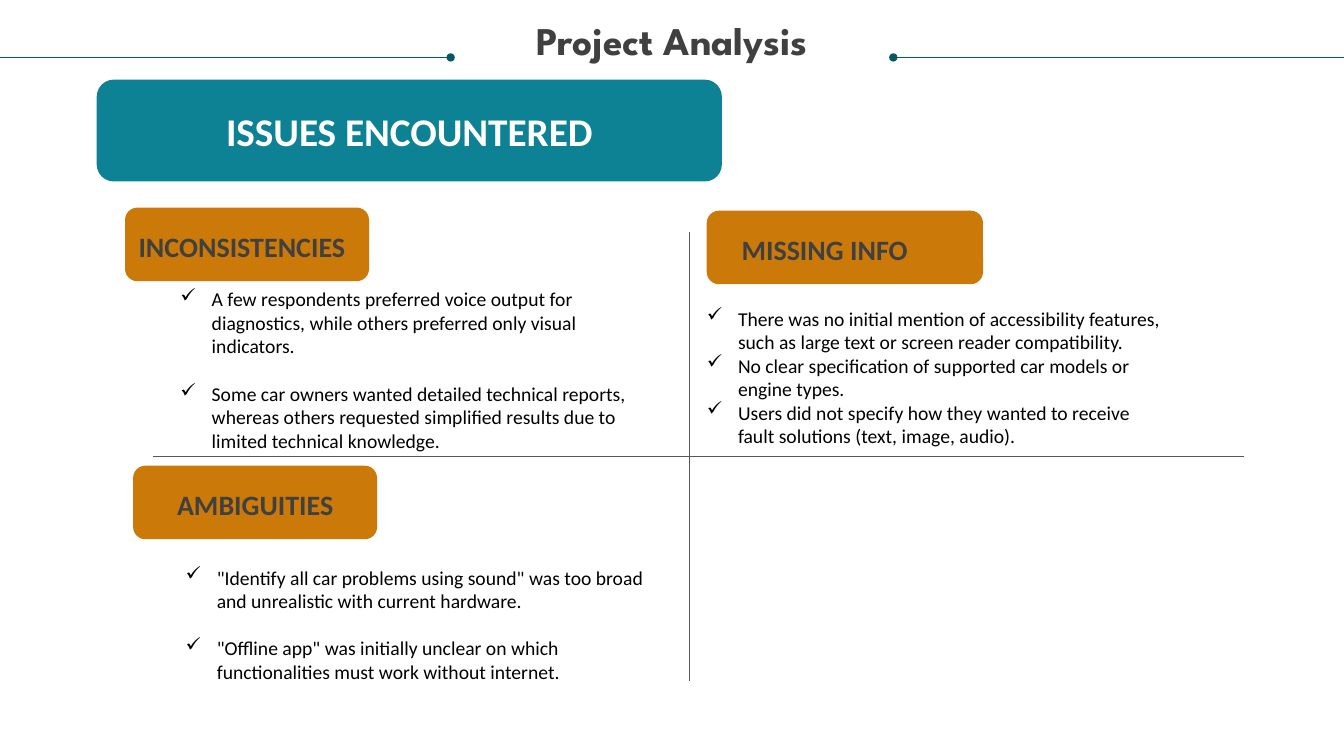
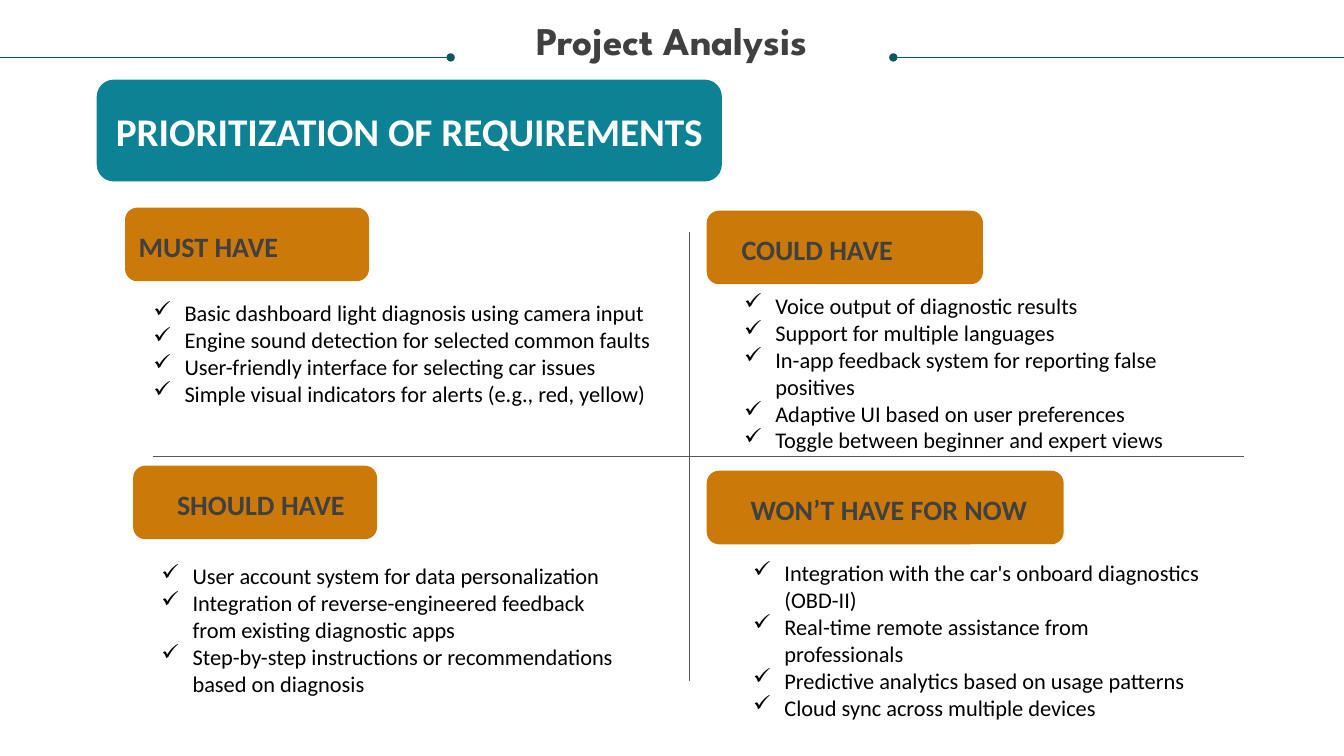
from lxml import etree
from pptx import Presentation
from pptx import util as u
from pptx.dml.color import RGBColor
from pptx.enum import shapes, text
from pptx.oxml.ns import qn

COLORS = {
    "teal": "0D8295",
    "dark teal": "085764",
    "orange": "CB7A09",
    "heading": "404040",
    "divider": "585858",
    "body": "000000",
    "white": "FFFFFF",
}
TITLE_FONT, BODY_FONT = "League Spartan", "Calibri"
SLIDE_WIDTH, SLIDE_HEIGHT = 13.33, 7.5
TITLE = "Project Analysis"
RULE_Y = 0.57
RULES = [(4.47, 0), (8.86, SLIDE_WIDTH)]  # dot end, slide edge
DIVIDERS = [((1.52, 4.53), (12.34, 4.53)), ((6.84, 2.3), (6.84, 6.76))]
BANNER = (0.96, 0.79, 6.2, 1.01)
TAG_HEIGHT = 0.73
INDENT = 0.31

# Quadrant tags: left, top, width, left inset of the heading
TAGS = {
    "top left": (1.24, 2.06, 2.42, 0.1),
    "top right": (7.01, 2.09, 2.74, 0.31),
    "bottom left": (1.32, 4.62, 2.42, 0.4),
    "bottom right": (7.01, 4.67, 3.54, 0.4),
}

# Each quadrant: place, heading, list box (left, top, width, height), gap in points, items
SLIDES = [
    {
        "banner": "ISSUES ENCOUNTERED",
        "size": 14,
        "quadrants": [
            ("top left", "INCONSISTENCIES", (1.79, 2.85, 4.55, 1.65), 17, [
                "A few respondents preferred voice output for diagnostics, "
                "while others preferred only visual indicators.",
                "Some car owners wanted detailed technical reports, whereas others "
                "requested simplified results due to limited technical knowledge.",
            ]),
            ("top right", "MISSING INFO", (7.01, 3.04, 4.55, 1.42), 0, [
                "There was no initial mention of accessibility features, "
                "such as large text or screen reader compatibility.",
                "No clear specification of supported car models or engine types.",
                "Users did not specify how they wanted to receive fault solutions "
                "(text, image, audio).",
            ]),
            ("bottom left", "AMBIGUITIES", (1.84, 5.61, 4.55, 1.18), 17, [
                '"Identify all car problems using sound" was too broad '
                "and unrealistic with current hardware.",
                '"Offline app" was initially unclear on which functionalities '
                "must work without internet.",
            ]),
        ],
    },
    {
        "banner": "PRIORITIZATION OF REQUIREMENTS",
        "size": 16,
        "quadrants": [
            ("top left", "MUST HAVE", (1.52, 2.97, 5.09, 1.08), 0, [
                "Basic dashboard light diagnosis using camera input",
                "Engine sound detection for selected common faults",
                "User-friendly interface for selecting car issues",
                "Simple visual indicators for alerts (e.g., red, yellow)",
            ]),
            ("top right", "COULD HAVE", (7.38, 2.9, 4.55, 1.6), 0, [
                "Voice output of diagnostic results",
                "Support for multiple languages",
                "In-app feedback system for reporting false positives",
                "Adaptive UI based on user preferences",
                "Toggle between beginner and expert views",
            ]),
            ("bottom left", "SHOULD HAVE", (1.6, 5.58, 4.55, 1.35), 0, [
                "User account system for data personalization",
                "Integration of reverse-engineered feedback from existing diagnostic apps",
                "Step-by-step instructions or recommendations based on diagnosis",
            ]),
            ("bottom right", "WON’T HAVE FOR NOW", (7.47, 5.55, 4.55, 1.62), 0, [
                "Integration with the car's onboard diagnostics (OBD-II)",
                "Real-time remote assistance from professionals",
                "Predictive analytics based on usage patterns",
                "Cloud sync across multiple devices",
            ]),
        ],
    },
]


def color(name):
    return RGBColor.from_string(COLORS[name])


def inches(values):
    return [u.Inches(value) for value in values]


def write(para, words, size, color_name, font=BODY_FONT, bold=False,
          align=text.PP_ALIGN.LEFT):
    para.text = words
    para.alignment = align
    para.font.name = font
    para.font.size = u.Pt(size)
    para.font.bold = bold
    para.font.color.rgb = color(color_name)


def set_insets(frame, left=0, top=0):
    frame.margin_left, frame.margin_top = inches((left, top))
    frame.margin_right = frame.margin_bottom = 0


def add_text_frame(page, place):
    frame = page.shapes.add_textbox(*inches(place)).text_frame
    frame.word_wrap = True
    set_insets(frame)
    return frame


def add_line(page, start, end, color_name, dot=False):
    """Draw a thin line, with a round dot at its start if asked."""
    line = page.shapes.add_connector(
        shapes.MSO_CONNECTOR.STRAIGHT, *inches(start + end))
    line.line.width = u.Pt(0.5)
    line.line.color.rgb = color(color_name)
    properties = line.element.spPr
    if dot:
        etree.SubElement(properties.find(qn("a:ln")), qn("a:headEnd"), type="oval")
    etree.SubElement(properties, qn("a:effectLst"))


def add_rounded_box(page, place, fill):
    """Add a filled rounded box and return its text frame."""
    box = page.shapes.add_shape(
        shapes.MSO_SHAPE.ROUNDED_RECTANGLE, *inches(place))
    box.shadow.inherit = False
    box.fill.solid()
    box.fill.fore_color.rgb = color(fill)
    box.line.fill.background()
    box.text_frame.vertical_anchor = text.MSO_ANCHOR.MIDDLE
    box.text_frame.word_wrap = True
    return box.text_frame


def add_checklist(page, place, items, size, gap):
    frame = add_text_frame(page, place)
    for index, item in enumerate(items):
        para = frame.add_paragraph() if index else frame.paragraphs[0]
        write(para, item, size, "body")
        para.space_after = u.Pt(gap)
        properties = para._p.get_or_add_pPr()
        properties.set("marL", str(u.Inches(INDENT)))
        properties.set("indent", str(-u.Inches(INDENT)))
        bullet = etree.Element(qn("a:buChar"), char="✓")
        properties.find(qn("a:defRPr")).addprevious(bullet)


def add_frame(page, banner):
    """Add what every slide shares: title, rules, banner and dividers."""
    title = add_text_frame(page, (0.25, 0.21, 12.83, 0.73)).paragraphs[0]
    write(title, TITLE, 28, "heading", TITLE_FONT, True, text.PP_ALIGN.CENTER)
    title.line_spacing = 0.9
    for dot_x, edge_x in RULES:
        add_line(page, (dot_x, RULE_Y), (edge_x, RULE_Y), "dark teal", dot=True)
    frame = add_rounded_box(page, BANNER, "teal")
    write(frame.paragraphs[0], banner, 28, "white", bold=True,
          align=text.PP_ALIGN.CENTER)
    for start, end in DIVIDERS:
        add_line(page, start, end, "divider")


def add_quadrant(page, size, position, heading, list_place, gap, items):
    left, top, width, inset = TAGS[position]
    frame = add_rounded_box(page, (left, top, width, TAG_HEIGHT), "orange")
    set_insets(frame, inset, 0.03)
    write(frame.paragraphs[0], heading, 20, "heading", bold=True)
    add_checklist(page, list_place, items, size, gap)


def main():
    deck = Presentation()
    deck.slide_width, deck.slide_height = inches((SLIDE_WIDTH, SLIDE_HEIGHT))
    for content in SLIDES:
        page = deck.slides.add_slide(deck.slide_layouts[6])
        add_frame(page, content["banner"])
        for quadrant in content["quadrants"]:
            add_quadrant(page, content["size"], *quadrant)
    deck.save("out.pptx")


if __name__ == "__main__":
    main()
